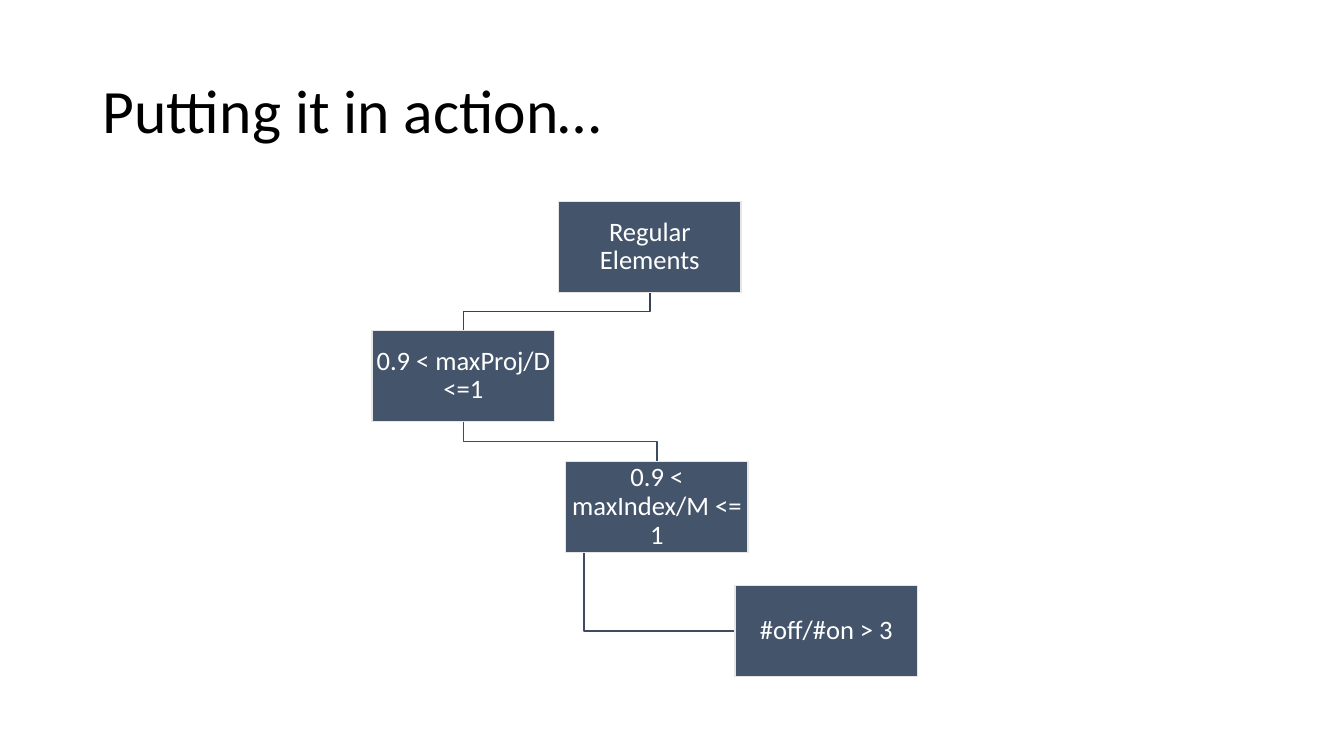
from typing import NamedTuple

from pptx import Presentation
from pptx.dml.color import RGBColor
from pptx.enum.shapes import MSO_SHAPE
from pptx.enum.text import MSO_ANCHOR, MSO_AUTO_SIZE, PP_ALIGN
from pptx.util import Inches, Pt

WIDE, HIGH = Inches(13.33), Inches(7.5)
COL, ROW = WIDE / 133.3, HIGH / 75
BOX_W, BOX_H = 18.1, 9.0
STUB = 0.1

HUES = {
    "ink": "000000",
    "text": "FFFFFF",
    "box": "44546A",
    "edge": "E7E6E6",
    "root": "364355",
    "wire": "3E4C60",
}

FRAME = {
    "word_wrap": True,
    "auto_size": MSO_AUTO_SIZE.NONE,
    "vertical_anchor": MSO_ANCHOR.MIDDLE,
}
INSET = dict.fromkeys(
    ("margin_left", "margin_top", "margin_right", "margin_bottom"), Inches(0.01)
)


class Node(NamedTuple):
    text: str
    col: float
    row: float


class Link(NamedTuple):
    start: Node
    end: Node
    hue: str
    side: bool = False


def put(target, values: dict) -> None:
    for name, value in values.items():
        setattr(target, name, value)


def tint(hue: str) -> RGBColor:
    return RGBColor.from_string(HUES[hue])


def write(shape, text: str, size: int, hue: str, align, frame: dict) -> None:
    put(shape.text_frame, frame)
    shape.text_frame.text = text
    line = shape.text_frame.paragraphs[0]
    put(line, {"alignment": align, "line_spacing": 0.9})
    put(line.runs[0].font, {"name": "Calibri", "size": Pt(size)})
    line.runs[0].font.color.rgb = tint(hue)


def edge(shape, hue: str) -> None:
    shape.shadow.inherit = False
    shape.line.color.rgb = tint(hue)
    shape.line.width = Pt(1)


def place(col: float, row: float, wide: float, high: float) -> dict:
    return {
        "left": round(col * COL),
        "top": round(row * ROW),
        "width": round(wide * COL),
        "height": round(high * ROW),
    }


def route(link: Link) -> list[tuple[float, float]]:
    start, end = link.start, link.end
    base = start.row + BOX_H
    if link.side:
        left, mid = start.col + BOX_W * STUB, end.row + BOX_H / 2
        return [(left, base), (left, mid), (end.col, mid)]
    left, right = start.col + BOX_W / 2, end.col + BOX_W / 2
    mid = (base + end.row) / 2
    return [(left, base), (left, mid), (right, mid), (right, end.row)]


def draw_link(slide, link: Link) -> None:
    first, *rest = [(round(x * COL), round(y * ROW)) for x, y in route(link)]
    pen = slide.shapes.build_freeform(*first)
    pen.add_line_segments(rest, close=False)
    wire = pen.convert_to_shape()
    wire.fill.background()
    edge(wire, link.hue)


def draw_node(slide, node: Node) -> None:
    spot = place(node.col, node.row, BOX_W, BOX_H)
    box = slide.shapes.add_shape(MSO_SHAPE.RECTANGLE, **spot)
    box.fill.solid()
    box.fill.fore_color.rgb = tint("box")
    edge(box, "edge")
    write(box, node.text, 19, "text", PP_ALIGN.CENTER, FRAME | INSET)


def main() -> None:
    deck = Presentation()
    put(deck, {"slide_width": WIDE, "slide_height": HIGH})
    slide = deck.slides.add_slide(deck.slide_layouts.get_by_name("Title Only"))

    title = slide.shapes.title
    put(title, place(9.2, 4, 115, 14.5))
    write(title, "Putting it in action…", 44, "ink", PP_ALIGN.LEFT, FRAME)

    nodes = [
        Node("Regular Elements", 55.4, 20),
        Node("0.9 < maxProj/D <=1", 36.9, 32.8),
        Node("0.9 < maxIndex/M <= 1", 56.1, 45.8),
        Node("#off/#on > 3", 72.9, 58.1),
    ]
    root, proj, index, ratio = nodes
    links = [
        Link(index, ratio, "wire", side=True),
        Link(proj, index, "wire"),
        Link(root, proj, "root"),
    ]
    for link in links:
        draw_link(slide, link)
    for node in nodes:
        draw_node(slide, node)

    deck.save("out.pptx")


if __name__ == "__main__":
    main()
